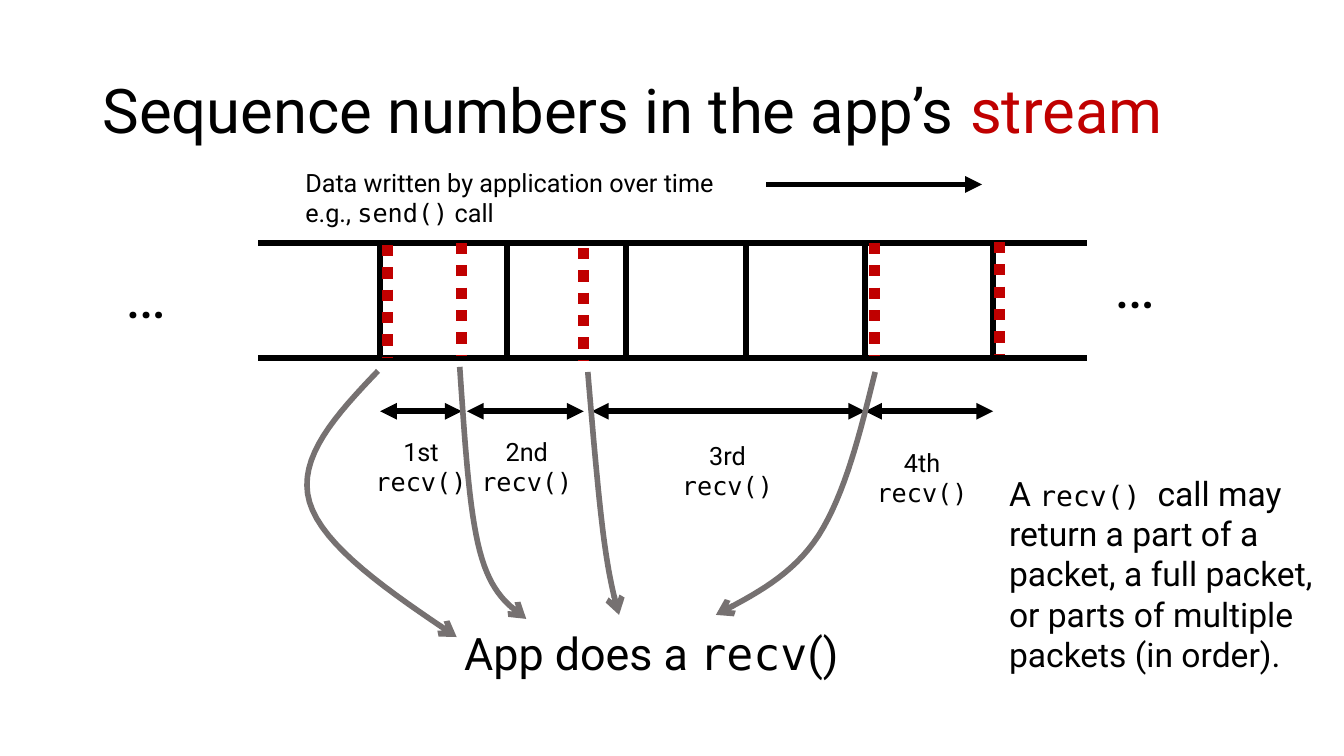
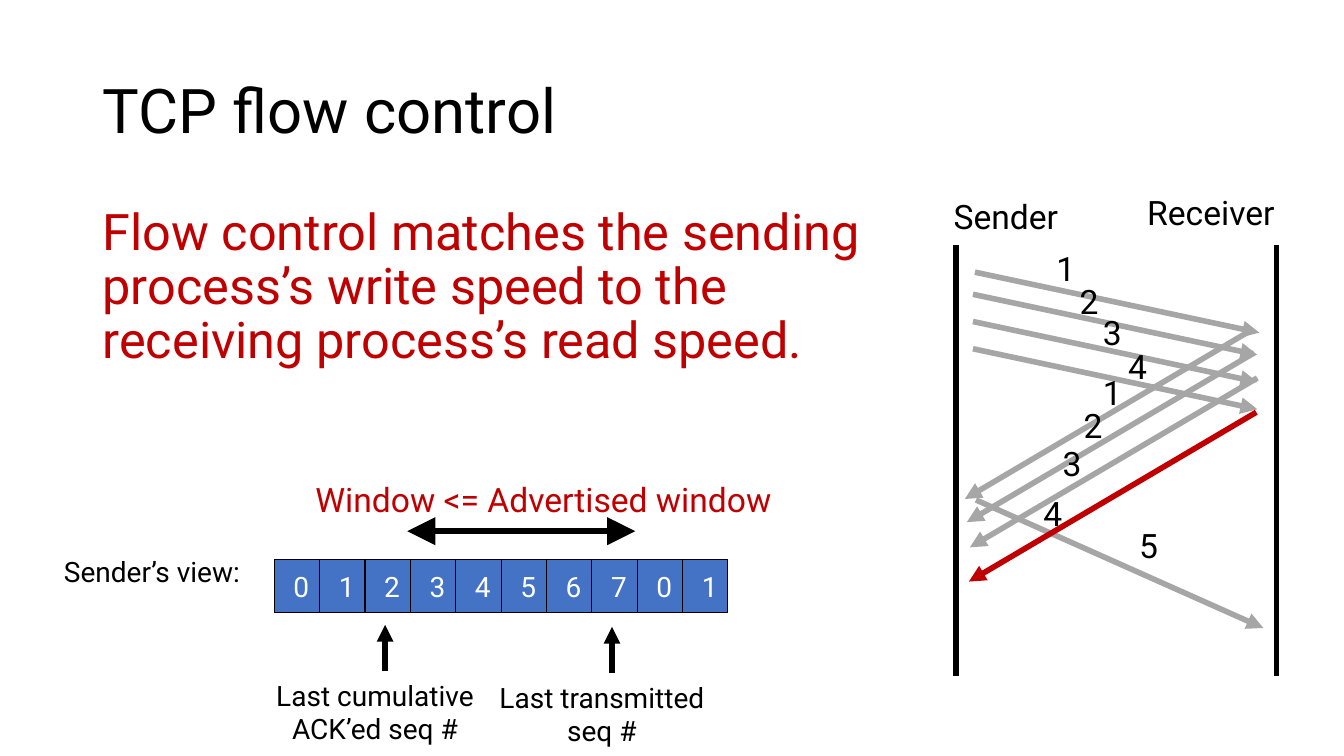
from dataclasses import dataclass

from lxml import etree
from pptx import Presentation
from pptx.dml.color import RGBColor
from pptx.enum.dml import MSO_LINE
from pptx.enum.shapes import MSO_CONNECTOR, MSO_SHAPE
from pptx.enum.text import MSO_ANCHOR, PP_ALIGN
from pptx.oxml.ns import qn
from pptx.util import Inches, Pt

STRAIGHT = MSO_CONNECTOR.STRAIGHT
RECTANGLE = MSO_SHAPE.RECTANGLE
DOTTED = MSO_LINE.ROUND_DOT
MIDDLE = MSO_ANCHOR.MIDDLE
LEFT, CENTER, RIGHT = PP_ALIGN.LEFT, PP_ALIGN.CENTER, PP_ALIGN.RIGHT


@dataclass(frozen=True)
class Theme:
    black: RGBColor = RGBColor(0x00, 0x00, 0x00)
    white: RGBColor = RGBColor(0xFF, 0xFF, 0xFF)
    red: RGBColor = RGBColor(0xC0, 0x00, 0x00)
    blue: RGBColor = RGBColor(0x44, 0x72, 0xC4)
    dark_gray: RGBColor = RGBColor(0x76, 0x71, 0x71)
    light_gray: RGBColor = RGBColor(0xA6, 0xA6, 0xA6)
    font: str = "Roboto"
    code_font: str = "DejaVu Sans Mono"
    title: int = 44
    body: int = 36
    callout: int = 32
    label: int = 24
    caption: int = 20
    note: int = 18
    stroke: float = 4
    marker: float = 8
    border: float = 0.75


THEME = Theme()


def style_font(font, name=None, size=None, color=None):
    if name:
        font.name = name
    if size:
        font.size = Pt(size)
    if color is not None:
        font.color.rgb = color


def code(text, size=None):
    return text, {"name": THEME.code_font, "size": size}


def add_text(slide, box, paragraphs, size, color=THEME.black, align=LEFT,
             anchor=None, spacing=None):
    text_box = slide.shapes.add_textbox(*map(Inches, box))
    frame = text_box.text_frame
    frame.word_wrap = True
    if anchor is not None:
        frame.vertical_anchor = anchor
    for index, parts in enumerate(paragraphs):
        paragraph = frame.add_paragraph() if index else frame.paragraphs[0]
        paragraph.alignment = align
        if spacing:
            paragraph.line_spacing = spacing
        style_font(paragraph.font, THEME.font, size, color)
        for part in parts:
            text, changes = (part, {}) if isinstance(part, str) else part
            run = paragraph.add_run()
            run.text = text
            style_font(run.font, **changes)


def add_title(slide, *parts):
    add_text(slide, (0.92, 0.4, 11.5, 1.45), [parts], THEME.title,
             anchor=MIDDLE, spacing=0.9)


def style_line(shape, color, width=THEME.stroke, head=None, tail=None, arrow_size="med"):
    shape.line.color.rgb = color
    shape.line.width = Pt(width)
    outline = shape.line._get_or_add_ln()
    for tag, kind in (("a:headEnd", head), ("a:tailEnd", tail)):
        if kind:
            etree.SubElement(outline, qn(tag), type=kind, w=arrow_size, len=arrow_size)


def add_line(slide, start, end, color=THEME.black, **options):
    connector = slide.shapes.add_connector(STRAIGHT, *map(Inches, (*start, *end)))
    style_line(connector, color, **options)
    etree.SubElement(connector._element.spPr, qn("a:effectLst"))
    return connector


def add_arrow(slide, start, end, color=THEME.black, **options):
    add_line(slide, start, end, color, tail="triangle", **options)


def add_double_arrow(slide, left, right, y, **options):
    add_arrow(slide, (left, y), (right, y), head="triangle", **options)


def add_dotted_marker(slide, x, top):
    marker = add_line(slide, (x, top), (x, top + 1.12), THEME.red, width=THEME.marker)
    marker.line.dash_style = DOTTED


def bezier_point(controls, t):
    weights = ((1 - t) ** 3, 3 * t * (1 - t) ** 2, 3 * t ** 2 * (1 - t), t ** 3)
    return tuple(
        Inches(sum(weight * point[axis] for weight, point in zip(weights, controls)))
        for axis in (0, 1)
    )


def add_curved_arrow(slide, points, steps=16):
    vertices = [
        bezier_point(points[first:first + 4], step / steps)
        for first in range(0, len(points) - 1, 3)
        for step in range(1, steps + 1)
    ]
    builder = slide.shapes.build_freeform(*map(Inches, points[0]))
    builder.add_line_segments(vertices, close=False)
    curve = builder.convert_to_shape()
    curve.shadow.inherit = False
    curve.fill.background()
    style_line(curve, THEME.dark_gray, tail="arrow")


def add_sequence_cell(slide, left, number):
    cell = slide.shapes.add_shape(
        RECTANGLE, *map(Inches, (left, 5.55, 0.45, 0.53)))
    cell.shadow.inherit = False
    cell.fill.solid()
    cell.fill.fore_color.rgb = THEME.blue
    style_line(cell, THEME.black, THEME.border)
    frame = cell.text_frame
    frame.word_wrap = False
    frame.vertical_anchor = MIDDLE
    frame.margin_left = Inches(0.19)
    frame.margin_right = 0
    paragraph = frame.paragraphs[0]
    paragraph.text = str(number)
    paragraph.alignment = LEFT
    style_font(paragraph.font, THEME.font, THEME.caption, THEME.white)


def add_pointer(slide, x, tip, caption):
    add_text(slide, (x - 1.34, tip + 0.48, 2.48, 0.8), [[line] for line in caption],
             THEME.caption, align=CENTER)
    add_arrow(slide, (x, tip + 0.46), (x, tip))


def build_stream_slide(slide):
    add_title(slide, "Sequence numbers in the app’s ", ("stream", {"color": THEME.red}))

    top, bottom = 2.41, 3.55
    for y in (top, bottom):
        add_line(slide, (2.56, y), (10.78, y))
    for x in (3.77, 5.03, 6.21, 7.4, 8.58, 9.85):
        add_line(slide, (x, top), (x, bottom))
    for left, y in ((1.15, 2.5), (10.96, 2.4)):
        add_text(slide, (left, y, 1.22, 0.84), [["…"]], THEME.title)

    add_text(slide, (2.93, 1.61, 5.76, 1.01),
             [["Data written by application over time"],
              ["e.g., ", code("send()"), " call"]], THEME.note)
    add_arrow(slide, (7.6, 1.83), (9.74, 1.83))
    add_text(slide, (4.17, 6.16, 4.58, 0.64),
             [["App does a ", code("recv"), "()"]], THEME.callout, align=CENTER)

    for x, y in ((3.84, 2.43), (4.58, 2.41), (5.79, 2.46), (8.67, 2.41), (9.91, 2.4)):
        add_dotted_marker(slide, x, y)
    for left, right in ((3.77, 4.58), (4.63, 5.79), (5.87, 8.58), (8.58, 9.85)):
        add_double_arrow(slide, left, right, 4.08)
    for ordinal, left, y in (("1st ", 3.58, 4.28), ("2nd ", 4.63, 4.28),
                             ("3rd ", 6.62, 4.32), ("4th ", 8.55, 4.39)):
        add_text(slide, (left, y, 1.19, 0.71), [[ordinal, code("recv()")]],
                 THEME.note, align=CENTER)

    for points in (
        ((3.75, 3.68), (3.34, 4.11), (2.94, 4.54), (3.07, 4.98),
         (3.2, 5.42), (3.86, 5.87), (4.53, 6.32)),
        ((4.56, 3.64), (4.61, 4.35), (4.65, 5.06), (4.76, 5.47),
         (4.87, 5.89), (5.05, 6.01), (5.22, 6.14)),
        ((5.83, 3.69), (5.88, 4.28), (5.93, 4.87), (5.98, 5.27),
         (6.03, 5.67), (6.08, 5.89), (6.14, 6.1)),
        ((8.68, 3.69), (8.53, 4.3), (8.38, 4.9), (8.12, 5.31),
         (7.86, 5.71), (7.48, 5.9), (7.1, 6.1)),
    ):
        add_curved_arrow(slide, points)

    add_text(slide, (9.91, 4.64, 3.4, 2.12),
             [["A ", code("recv() ", THEME.caption),
               "call may return a part of a packet, a full packet, "
               "or parts of multiple packets (in order)."]], THEME.label)


def build_exchange(slide):
    for x in (9.48, 12.66):
        add_line(slide, (x, 2.43), (x, 6.71))
    for name, left, y in (("Sender", 9.36, 1.89), ("Receiver", 11.28, 1.85)):
        add_text(slide, (left, y, 1.68, 0.5), [[name]], THEME.label)

    for x, y in ((9.67, 2.7), (9.65, 2.92), (9.65, 3.19), (9.65, 3.46)):
        add_arrow(slide, (x, y), (x + 2.82, y + 0.6), THEME.light_gray)
    add_arrow(slide, (9.68, 4.96), (12.53, 6.23), THEME.light_gray)
    for x, y, color in ((12.42, 3.27, THEME.light_gray), (12.44, 3.5, THEME.light_gray),
                        (12.47, 3.75, THEME.light_gray), (12.46, 4.09, THEME.red)):
        add_arrow(slide, (x, y), (x - 2.85, y + 1.68), color)

    for number, left, y in (
        (1, 10.38, 2.41), (2, 10.61, 2.74), (3, 10.84, 3.05), (4, 11.09, 3.38),
        (1, 10.84, 3.64), (2, 10.65, 3.97), (3, 10.44, 4.34), (4, 10.25, 4.84),
        (5, 11.2, 5.16),
    ):
        add_text(slide, (left, y, 0.74, 0.5), [[str(number)]], THEME.label)


def build_flow_control_slide(slide):
    add_title(slide, "TCP flow control")
    add_text(slide, (0.92, 2, 8.3, 4.76),
             [["Flow control matches the sending process’s write speed "
               "to the receiving process’s read speed."]],
             THEME.body, THEME.red, spacing=0.9)
    build_exchange(slide)

    for index in range(10):
        add_sequence_cell(slide, 2.72 + 0.45 * index, index % 8)
    add_pointer(slide, 3.82, 6.2, ("Last cumulative", "ACK’ed seq #"))
    add_pointer(slide, 6.07, 6.22, ("Last transmitted", "seq #"))
    add_text(slide, (3.03, 4.7, 5.4, 0.5), [["Window <= Advertised window"]],
             THEME.label, THEME.red)
    add_double_arrow(slide, 4.04, 6.3, 5.27, arrow_size="lg")
    add_text(slide, (0.49, 5.45, 1.99, 0.77), [["Sender’s view:"]],
             THEME.caption, align=RIGHT)


def main():
    presentation = Presentation()
    presentation.slide_width = Inches(13.33)
    presentation.slide_height = Inches(7.5)
    blank = presentation.slide_layouts[6]
    for build in (build_stream_slide, build_flow_control_slide):
        build(presentation.slides.add_slide(blank))
    presentation.save("out.pptx")


if __name__ == "__main__":
    main()
